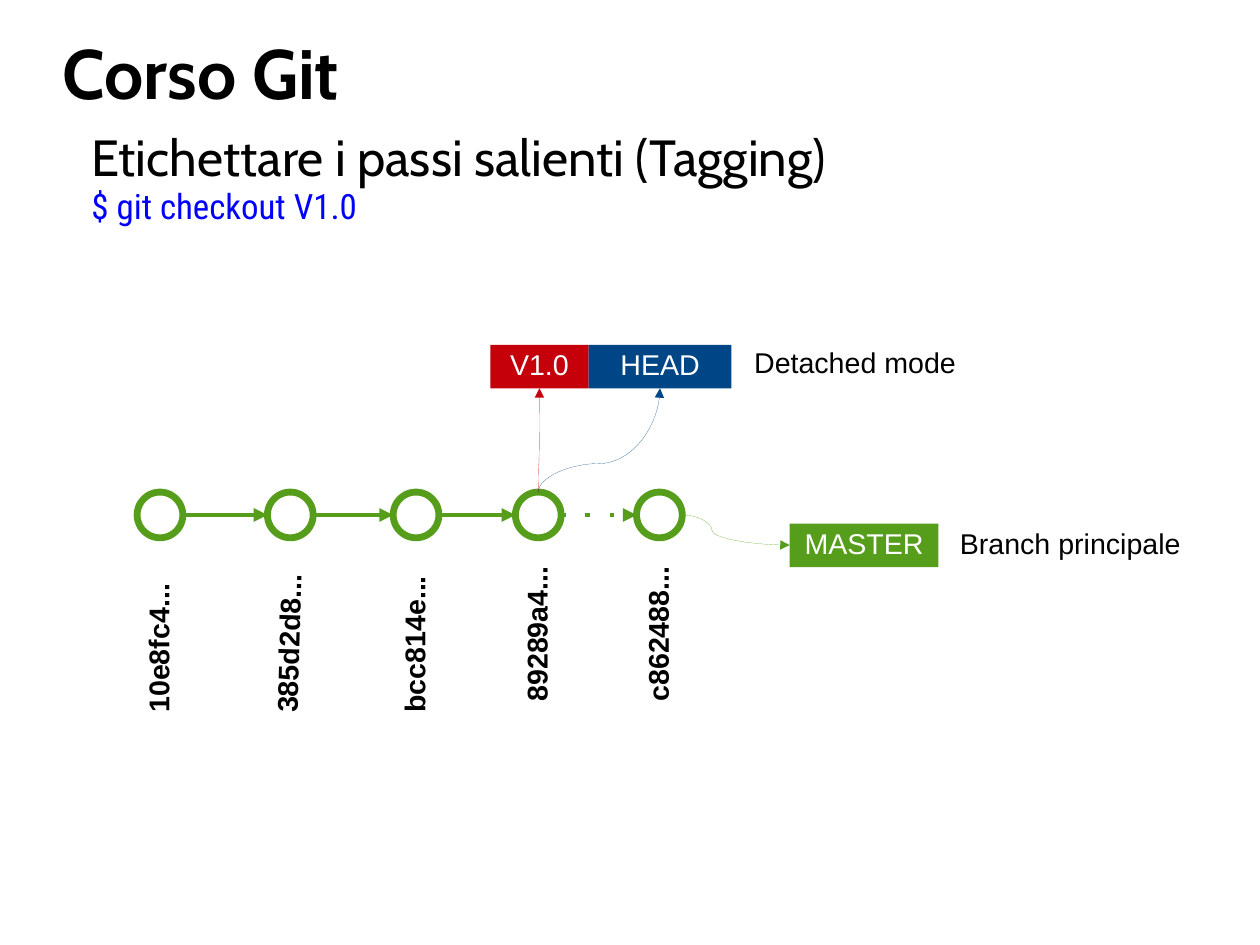
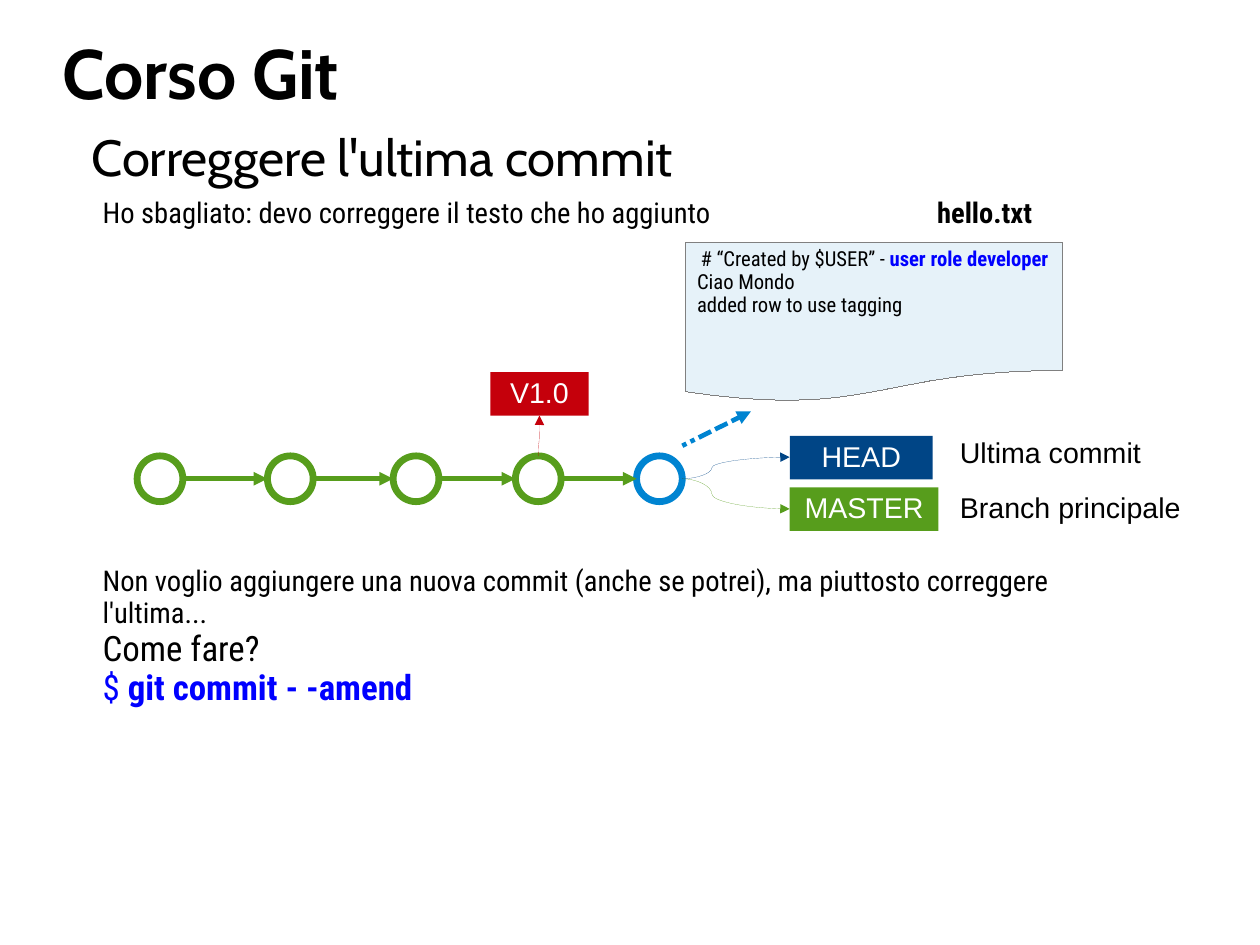
from lxml import etree
from pptx import Presentation
from pptx.dml.color import RGBColor
from pptx.enum.shapes import MSO_CONNECTOR, MSO_SHAPE
from pptx.enum.text import MSO_ANCHOR, MSO_AUTO_SIZE, PP_ALIGN
from pptx.oxml.ns import qn
from pptx.util import Pt

STRAIGHT, CURVE = MSO_CONNECTOR.STRAIGHT, MSO_CONNECTOR.CURVE
RECTANGLE, CIRCLE = MSO_SHAPE.RECTANGLE, MSO_SHAPE.OVAL
DOCUMENT = MSO_SHAPE.FLOWCHART_DOCUMENT
TOP, MIDDLE = MSO_ANCHOR.TOP, MSO_ANCHOR.MIDDLE
LEFT, CENTER = PP_ALIGN.LEFT, PP_ALIGN.CENTER
NO_FIT = MSO_AUTO_SIZE.NONE

BLACK = RGBColor(0x00, 0x00, 0x00)
WHITE = RGBColor(0xFF, 0xFF, 0xFF)
BLUE = RGBColor(0x00, 0x00, 0xFF)
GREEN = RGBColor(0x57, 0x9D, 0x1C)
NAVY = RGBColor(0x00, 0x45, 0x86)
RED = RGBColor(0xC5, 0x00, 0x0B)
AZURE = RGBColor(0x00, 0x84, 0xD1)
PALE_BLUE = RGBColor(0xCF, 0xE7, 0xF5)
GREY = RGBColor(0x80, 0x80, 0x80)


def text_format(name, size, color=BLACK, bold=False):
    """Return the format values of a span."""
    return {"name": name, "size": Pt(size), "bold": bold, "color": color}


TITLE = text_format("Cabin", 44, bold=True)
HEADING = text_format("Cabin", 32)
LABEL = text_format("Arial", 18)
HASH = text_format("Arial", 18, bold=True)
TAG = text_format("Arial", 18, WHITE)
BODY = text_format("Roboto Condensed", 18)
FILE_NAME = text_format("Roboto Condensed", 18, bold=True)
QUESTION = text_format("Roboto Condensed", 22)
COMMAND = text_format("Roboto Condensed", 22, BLUE)
STRONG_COMMAND = text_format("Roboto Condensed", 22, BLUE, True)
FILE_TEXT = text_format("Roboto Condensed", 13)
FILE_CHANGE = text_format("Roboto Condensed", 13, BLUE, True)

PAGE_WIDTH, PAGE_HEIGHT = 793.7, 595.28
COMMIT_X = (100.8, 182.9, 262.1, 339.1, 415.4)
RADIUS = 14.4
HAIRLINE = 0.01
TAG_HEIGHT = 27.4
TAG_LEFT = 497.5
LABEL_LEFT = 597.6
VERSION_LEFT, VERSION_WIDTH = 308.9, 61.9
HEAD_WIDTH, MASTER_WIDTH = 90, 93.6
DOTTED = ((1, 4.3),)
DOTS_AND_DASHES = ((1, 1), (1, 1), (3, 1), (3, 1), (3, 1))
HASHES = (
    ("10e8fc4...", 456, 270),
    ("385d2d8...", 456, 271.7),
    ("bcc814e...", 456, 270),
    ("89289a4...", 449, 270),
    ("c862488...", 449, 270),
)


def points(*lengths):
    """Turn numbers into lengths in points."""
    return [Pt(length) for length in lengths]


def write(frame, lines, align=LEFT, anchor=TOP, wrap=True):
    """Fill a text frame with lines made of (text, format) spans."""
    frame.auto_size = NO_FIT
    frame.word_wrap = wrap
    frame.vertical_anchor = anchor
    for index, spans in enumerate(lines):
        para = frame.paragraphs[0] if index == 0 else frame.add_paragraph()
        para.alignment = align
        para.line_spacing = 0.93
        para.space_before = Pt(0)
        for text, values in spans:
            span = para.add_run()
            span.text = text
            for key, value in values.items():
                if key == "color":
                    span.font.color.rgb = value
                else:
                    setattr(span.font, key, value)


def add_text(page, place, *lines):
    """Add a text box and return it."""
    box = page.shapes.add_textbox(*points(*place))
    write(box.text_frame, lines)
    return box


def add_label(page, text, left, top):
    """Add a plain caption beside a tag."""
    add_text(page, (left, top, 158.4, TAG_HEIGHT), [(text, LABEL)])


def add_box(page, kind, place, fill=None, line=None, width=HAIRLINE):
    """Add a preset shape without shadow."""
    shape = page.shapes.add_shape(kind, *points(*place))
    shape.shadow.inherit = False
    if fill is None:
        shape.fill.background()
    else:
        shape.fill.solid()
        shape.fill.fore_color.rgb = fill
    if line is None:
        shape.line.fill.background()
    else:
        shape.line.color.rgb = line
        shape.line.width = Pt(width)
    return shape


def add_tag(page, text, left, top, width, color):
    """Add a coloured reference tag."""
    tag = add_box(page, RECTANGLE, (left, top, width, TAG_HEIGHT), color)
    write(tag.text_frame, [[(text, TAG)]], CENTER)


def add_child(parent, tag, **attributes):
    """Append a drawing element with attributes."""
    return etree.SubElement(parent, qn(tag), attributes)


def add_line(page, kind, start, end, color, width, dashes=()):
    """Add a connector with an arrowhead at its end."""
    line = page.shapes.add_connector(kind, *points(*start, *end))
    line.line.color.rgb = color
    line.line.width = Pt(width)
    outline = line._element.spPr.find(qn("a:ln"))
    if dashes:
        pattern = add_child(outline, "a:custDash")
        for dash, gap in dashes:
            add_child(pattern, "a:ds", d=str(int(dash * 100000)), sp=str(int(gap * 100000)))
    add_child(outline, "a:tailEnd", type="triangle")
    add_child(line._element.spPr, "a:effectLst")
    return line


def add_arrow(page, start, end, color, dashes=()):
    """Add a thick straight arrow."""
    add_line(page, STRAIGHT, start, end, color, 2.89, dashes)


def add_curve(page, start, end, color, rising=False, bend=0.275):
    """Add a hairline curve that leaves sideways, or upwards when rising."""
    if rising:
        (x1, y1), (x2, y2) = start, end
        middle_x, middle_y = (x1 + x2) / 2, (y1 + y2) / 2
        half_run, half_rise = (x2 - x1) / 2, (y1 - y2) / 2
        start = middle_x + half_rise, middle_y + half_run
        end = middle_x - half_rise, middle_y - half_run
    curve = add_line(page, CURVE, start, end, color, HAIRLINE)
    properties = curve._element.spPr
    guides = properties.find(qn("a:prstGeom")).find(qn("a:avLst"))
    add_child(guides, "a:gd", name="adj1", fmla=f"val {round(bend * 100000)}")
    if rising:
        properties.find(qn("a:xfrm")).set("rot", "5400000")


def add_history(page, y, last_color=GREEN, last_dashes=()):
    """Draw the row of commits, its arrows and the master branch."""
    last = len(COMMIT_X) - 1
    for index, x in enumerate(COMMIT_X):
        place = x - RADIUS, y - RADIUS, 2 * RADIUS, 2 * RADIUS
        color = last_color if index == last else GREEN
        add_box(page, CIRCLE, place, line=color, width=4.31)
        if index:
            dashes = last_dashes if index == last else ()
            add_arrow(page, (COMMIT_X[index - 1] + RADIUS, y), (x - RADIUS, y), GREEN, dashes)
    add_tag(page, "MASTER", TAG_LEFT, y + 5.4, MASTER_WIDTH, GREEN)
    add_label(page, "Branch principale", LABEL_LEFT, y + 5.2)
    add_curve(page, (COMMIT_X[-1] + RADIUS, y), (TAG_LEFT, y + 19), GREEN)


def add_version(page, y, top, bend=0.275):
    """Draw the version tag and the curve from its commit."""
    add_tag(page, "V1.0", VERSION_LEFT, top, VERSION_WIDTH, RED)
    tip = VERSION_LEFT + VERSION_WIDTH / 2, top + TAG_HEIGHT
    add_curve(page, (COMMIT_X[3], y - RADIUS), tip, RED, True, bend)


def add_hashes(page):
    """Write the upright commit hashes under the circles."""
    length = 108
    for x, (text, bottom, angle) in zip(COMMIT_X, HASHES):
        place = x - length / 2, bottom - (length + TAG_HEIGHT) / 2, length, TAG_HEIGHT
        add_text(page, place, [(text, HASH)]).rotation = angle


def prepare_layout(deck):
    """Place the shared title and body on the layout and return it."""
    layout = deck.slide_layouts[1]
    places = ((39.6, 23.6, 713.5, 49), (50.4, 79.2, 705.6, 67.7))
    for holder, place in zip(layout.placeholders, places):
        holder.left, holder.top, holder.width, holder.height = points(*place)
    return layout


def add_page(deck, layout, *lines):
    """Add a slide with the course title and its heading lines."""
    page = deck.slides.add_slide(layout)
    title = page.shapes.title.text_frame
    for side in ("left", "top", "right", "bottom"):
        setattr(title, f"margin_{side}", Pt(0))
    write(title, [[("Corso Git", TITLE)]], anchor=MIDDLE)
    body = page.placeholders[1].text_frame
    write(body, lines)
    for para in body.paragraphs:
        properties = para._p.get_or_add_pPr()
        properties.set("marL", "0")
        properties.set("indent", "0")
        add_child(properties, "a:buNone")
    return page


def add_file(page):
    """Draw the file with its name and content."""
    sheet = add_box(page, DOCUMENT, (432, 152.6, 237.6, 100.8), PALE_BLUE, GREY)
    color = sheet._element.spPr.find(qn("a:solidFill")).find(qn("a:srgbClr"))
    add_child(color, "a:alpha", val="50000")
    lines = (
        [("# “Created by $USER” - ", FILE_TEXT), ("user role developer", FILE_CHANGE)],
        [("Ciao Mondo", FILE_TEXT)],
        [("added row to use tagging", FILE_TEXT)],
    )
    write(sheet.text_frame, lines, wrap=False)
    sheet.text_frame.paragraphs[0].alignment = CENTER
    add_text(page, (583.2, 121, 86.4, 30), [("hello.txt", FILE_NAME)])


def build_tagging(deck, layout):
    """Build the slide on checking out a tag."""
    y, top = 324.4, 217.2
    page = add_page(
        deck,
        layout,
        [("Etichettare i passi salienti (Tagging)", HEADING)],
        [("$ git checkout V1.0", COMMAND)],
    )
    add_history(page, y, last_dashes=DOTTED)
    add_hashes(page)
    add_version(page, y, top)
    head_left = VERSION_LEFT + VERSION_WIDTH
    add_tag(page, "HEAD", head_left, top, HEAD_WIDTH, NAVY)
    tip = head_left + HEAD_WIDTH / 2, top + TAG_HEIGHT
    add_curve(page, (COMMIT_X[3], y - RADIUS), tip, NAVY, True)
    add_label(page, "Detached mode", 468, 215.7)


def build_amending(deck, layout):
    """Build the slide on amending the last commit."""
    y = 301.6
    page = add_page(deck, layout, [("Correggere l'ultima commit", HEADING)])
    add_history(page, y, AZURE)
    add_version(page, y, 234.4, 0.313)
    add_tag(page, "HEAD", TAG_LEFT, 274.6, HEAD_WIDTH, NAVY)
    add_curve(page, (COMMIT_X[-1] + RADIUS, y), (TAG_LEFT, 288), NAVY)
    add_label(page, "Ultima commit", LABEL_LEFT, 272.5)
    add_file(page)
    add_arrow(page, (429.8, 280.8), (473, 259.2), AZURE, DOTS_AND_DASHES)
    add_text(
        page,
        (57.6, 121, 500, 31.7),
        [("Ho sbagliato: devo correggere il testo che ho aggiunto", BODY)],
    )
    add_text(
        page,
        (57.6, 353.2, 655.2, 96.5),
        [("Non voglio aggiungere una nuova commit (anche se potrei), "
          "ma piuttosto correggere l'ultima...", BODY)],
        [("Come fare?", QUESTION)],
        [("$ ", COMMAND), ("git commit - -amend", STRONG_COMMAND)],
    )


def main():
    """Build and save the deck."""
    deck = Presentation()
    deck.slide_width, deck.slide_height = points(PAGE_WIDTH, PAGE_HEIGHT)
    layout = prepare_layout(deck)
    build_tagging(deck, layout)
    build_amending(deck, layout)
    deck.save("out.pptx")


if __name__ == "__main__":
    main()
